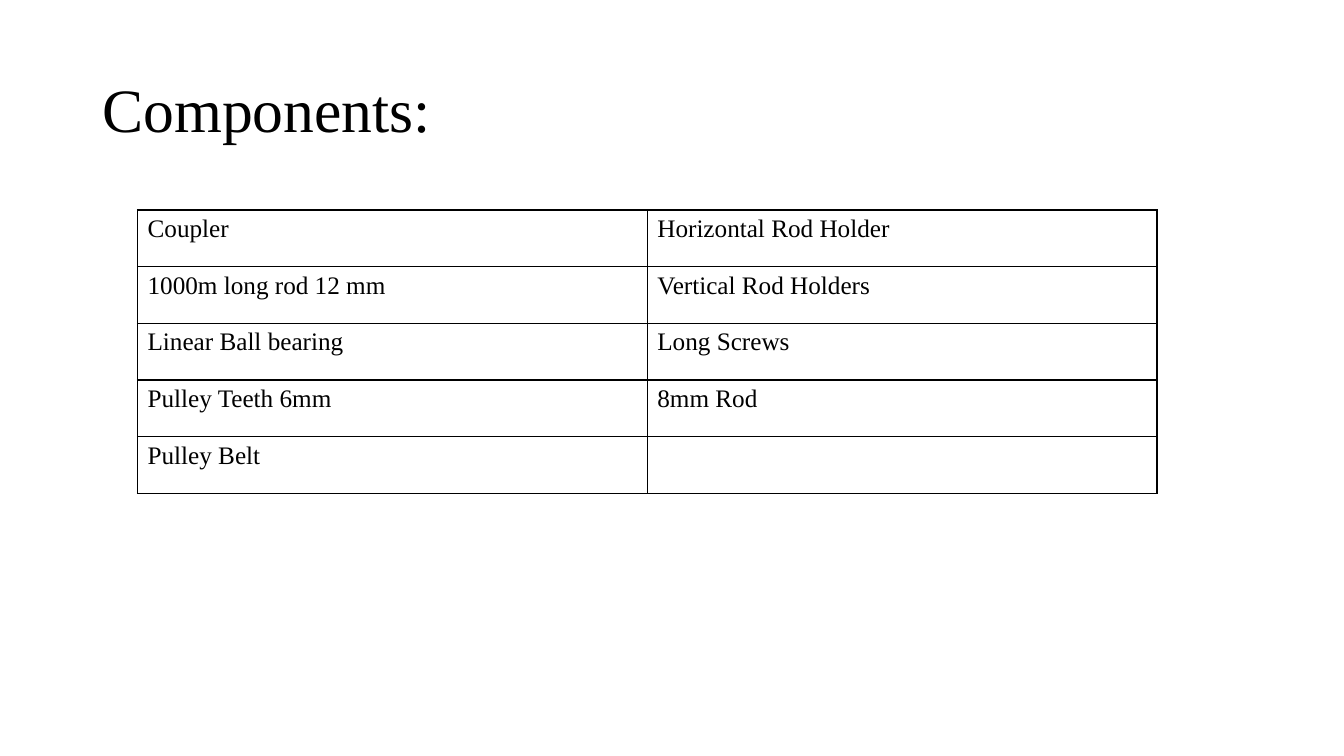
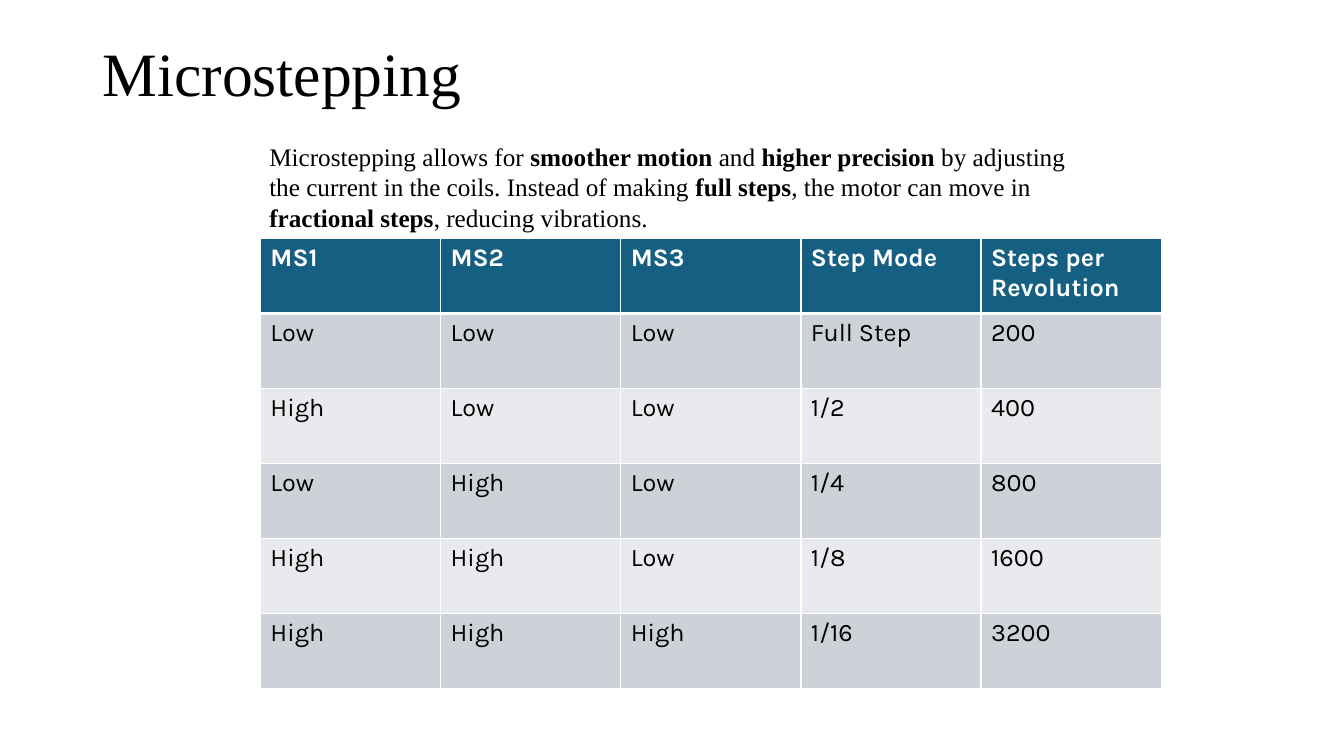
from lxml.etree import SubElement
from pptx import Presentation
from pptx.dml.color import RGBColor
from pptx.enum.text import MSO_ANCHOR, MSO_AUTO_SIZE, PP_ALIGN
from pptx.oxml.ns import qn
from pptx.util import Emu, Pt

EMU_PER_PX = 9525
SERIF, SANS = "Times New Roman", "Karla"
BLACK, WHITE = "000000", "FFFFFF"
HEADER_BLUE = "156082"
BAND_FILLS = ("CCD2D8", "E8EAED")

COMPONENTS = [
    ("Coupler", "Horizontal Rod Holder"),
    ("1000m long rod 12 mm", "Vertical Rod Holders"),
    ("Linear Ball bearing", "Long Screws"),
    ("Pulley Teeth 6mm", "8mm Rod"),
    ("Pulley Belt", ""),
]
STEP_MODES = [
    ("MS1", "MS2", "MS3", "Step Mode", "Steps per Revolution"),
    ("Low", "Low", "Low", "Full Step", "200"),
    ("High", "Low", "Low", "1/2", "400"),
    ("Low", "High", "Low", "1/4", "800"),
    ("High", "High", "Low", "1/8", "1600"),
    ("High", "High", "High", "1/16", "3200"),
]
EXPLANATION = (
    "Microstepping allows for **smoother motion** and **higher precision** by "
    "adjusting the current in the coils. Instead of making **full steps**, the "
    "motor can move in **fractional steps**, reducing vibrations."
)


def px(length):
    return Emu(length * EMU_PER_PX)


def rgb(color):
    return RGBColor.from_string(color)


def write_text(frame, text, font=SERIF, size=18, color=BLACK, bold=False,
               align=PP_ALIGN.LEFT, line_spacing=None):
    """Write one paragraph; parts between ** marks are bold."""
    paragraph = frame.paragraphs[0]
    paragraph.alignment = align
    paragraph.line_spacing = line_spacing
    for index, part in enumerate(text.split("**")):
        if part:
            run = paragraph.add_run()
            run.text = part
            run.font.name = font
            run.font.size = Pt(size)
            run.font.bold = bold or index % 2 == 1
            run.font.color.rgb = rgb(color)


def place(shape, left, top, width, height):
    shape.left, shape.top = px(left), px(top)
    shape.width, shape.height = px(width), px(height)


def add_titled_slide(presentation, title, title_height):
    slide = presentation.slides.add_slide(presentation.slide_layouts[5])
    place(slide.shapes.title, 88, 38, 1104, title_height)
    frame = slide.shapes.title.text_frame
    frame.auto_size = MSO_AUTO_SIZE.NONE
    frame.vertical_anchor = MSO_ANCHOR.MIDDLE
    write_text(frame, title, size=44, line_spacing=0.9)
    return slide


def add_text(slide, text, left, top, width, height):
    box = slide.shapes.add_textbox(px(left), px(top), px(width), px(height))
    box.text_frame.word_wrap = True
    box.text_frame.auto_size = MSO_AUTO_SIZE.SHAPE_TO_FIT_TEXT
    write_text(box.text_frame, text)


def set_borders(cell, color, top=1, bottom=1):
    """Draw all four sides of a cell, with widths in points."""
    properties = cell._tc.get_or_add_tcPr()
    sides = (("a:lnL", 1), ("a:lnR", 1), ("a:lnT", top), ("a:lnB", bottom))
    for index, (tag, width) in enumerate(sides):
        line = SubElement(properties, qn(tag), w=str(Pt(width)))
        fill = SubElement(line, qn("a:solidFill"))
        SubElement(fill, qn("a:srgbClr"), val=color)
        properties.insert(index, line)


def add_table(slide, rows, left, top, width, height, font, border,
              header_fill=None, band_fills=None):
    shape = slide.shapes.add_table(len(rows), len(rows[0]), px(left), px(top),
                                   px(width), px(height))
    table = shape.table
    table.first_row = header_fill is not None
    table.horz_banding = False
    for row_index, row in enumerate(rows):
        is_header = table.first_row and row_index == 0
        for column_index, text in enumerate(row):
            cell = table.cell(row_index, column_index)
            write_text(cell.text_frame, text, font=font, bold=is_header,
                       color=WHITE if is_header else BLACK)
            if band_fills:
                cell.fill.solid()
                cell.fill.fore_color.rgb = rgb(
                    header_fill if is_header else band_fills[(row_index - 1) % 2])
            else:
                cell.fill.background()
            below_header = table.first_row and row_index == 1
            set_borders(cell, border, top=3 if below_header else 1,
                        bottom=3 if is_header else 1)


def build_components(presentation):
    slide = add_titled_slide(presentation, "Components:", 139)
    add_table(slide, COMPONENTS, 131, 200, 971, 270, font=SERIF, border=BLACK)


def build_microstepping(presentation):
    slide = add_titled_slide(presentation, "Microstepping", 69)
    add_table(slide, STEP_MODES, 248, 227, 858, 429, font=SANS, border=WHITE,
              header_fill=HEADER_BLUE, band_fills=BAND_FILLS)
    add_text(slide, EXPLANATION, 247, 130, 810, 97)


def main():
    presentation = Presentation()
    presentation.slide_width, presentation.slide_height = px(1280), px(720)
    build_components(presentation)
    build_microstepping(presentation)
    presentation.save("out.pptx")


if __name__ == "__main__":
    main()
